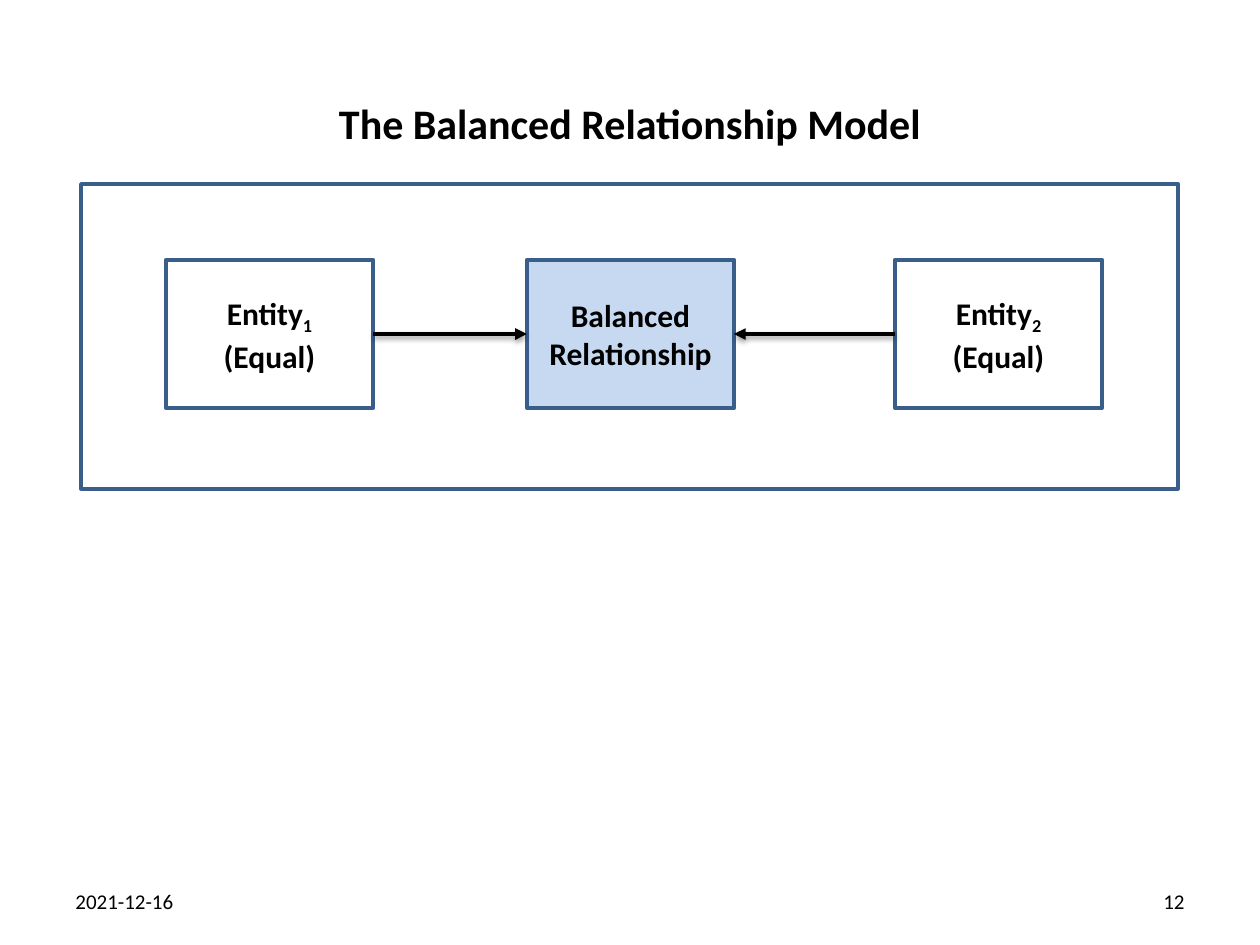
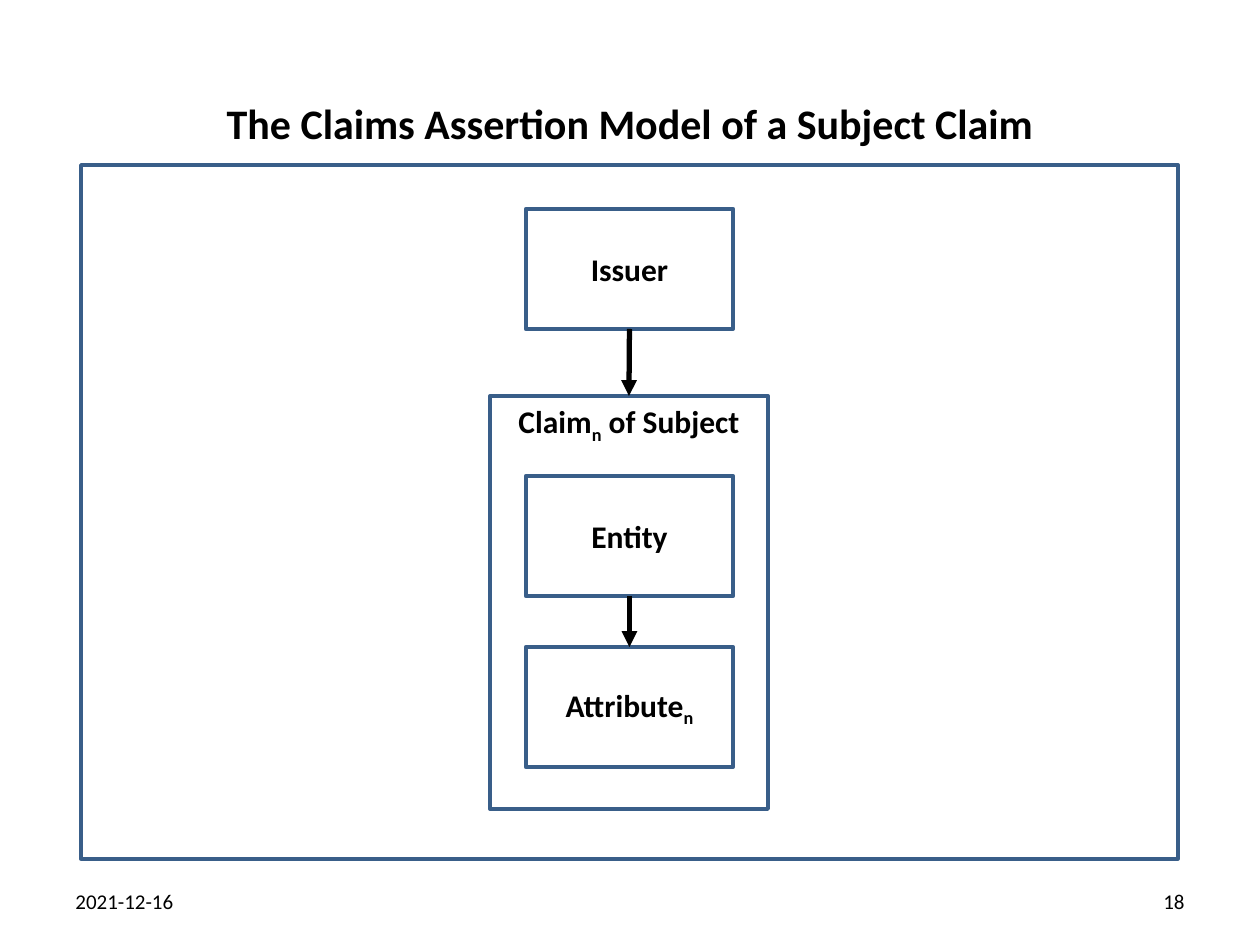
"""Builds two relationship-model slides."""
from dataclasses import dataclass

from lxml import etree
from pptx import Presentation
from pptx.dml.color import RGBColor
from pptx.enum.shapes import MSO_CONNECTOR, MSO_SHAPE
from pptx.enum.text import MSO_ANCHOR, PP_ALIGN
from pptx.oxml.ns import qn
from pptx.util import Pt

EMU_PER_PIXEL = 914400 / 126
FONT = "Calibri"
COLOURS = {"text": "000000", "arrow": "000000", "border": "395E89", "highlight": "C6D9F1"}
DATE = "2021-12-16"

RECTANGLE = MSO_SHAPE.RECTANGLE
STRAIGHT = MSO_CONNECTOR.STRAIGHT
LEFT, CENTER, RIGHT = PP_ALIGN.LEFT, PP_ALIGN.CENTER, PP_ALIGN.RIGHT
TOP, MIDDLE = MSO_ANCHOR.TOP, MSO_ANCHOR.MIDDLE
SITE_TOP, SITE_LEFT, SITE_BOTTOM, SITE_RIGHT = range(4)

BOX_WIDTH = 207
FRAME_LEFT, FRAME_WIDTH = 81, 1097


@dataclass(frozen=True)
class Area:
    """A rectangle in pixels."""
    left: int
    top: int
    width: int
    height: int


@dataclass(frozen=True)
class Piece:
    """A piece of text, possibly subscript."""
    text: str
    subscript: bool = False


@dataclass(frozen=True)
class Box:
    """An outlined rectangle with an optional label."""
    area: Area
    label: tuple = ()
    line_width: float = 2.5
    fill: str = ""
    anchor: MSO_ANCHOR = MIDDLE


TITLE_AREA = Area(115, 91, 1030, 63)
DATE_AREA = Area(63, 876, 294, 50)
NUMBER_AREA = Area(903, 876, 294, 50)


def emu(pixels: int) -> int:
    """Turn pixels into EMU."""
    return round(pixels * EMU_PER_PIXEL)


def place(area: Area) -> tuple:
    """Give the four lengths of an area in EMU."""
    return emu(area.left), emu(area.top), emu(area.width), emu(area.height)


def colour(name: str) -> RGBColor:
    """Look up a named colour."""
    return RGBColor.from_string(COLOURS[name])


def write(shape, label: tuple, size: int, bold: bool, alignment, anchor=MIDDLE) -> None:
    """Write one paragraph into a shape, run by run."""
    frame = shape.text_frame
    frame.word_wrap = True
    frame.vertical_anchor = anchor
    paragraph = frame.paragraphs[0]
    paragraph.alignment = alignment
    for piece in label:
        run = paragraph.add_run()
        run.text = piece.text
        run.font.name = FONT
        run.font.size = Pt(size)
        run.font.bold = bold
        run.font.color.rgb = colour("text")
        if piece.subscript:
            run.font._element.set("baseline", "-25000")


def add_text(slide, area: Area, text: str, size: int, bold: bool, alignment) -> None:
    """Add a text box with a single run."""
    shape = slide.shapes.add_textbox(*place(area))
    write(shape, (Piece(text),), size, bold, alignment)


def add_box(slide, box: Box):
    """Draw a box and return its shape."""
    shape = slide.shapes.add_shape(RECTANGLE, *place(box.area))
    shape.shadow.inherit = False
    if box.fill:
        shape.fill.solid()
        shape.fill.fore_color.rgb = colour(box.fill)
    else:
        shape.fill.background()
    shape.line.color.rgb = colour("border")
    shape.line.width = Pt(box.line_width)
    if box.label:
        write(shape, box.label, 18, True, CENTER, box.anchor)
    return shape


def add_arrow(slide, start, start_site: int, end, end_site: int, width: float,
              shadow: bool = False) -> None:
    """Join two shapes with an arrow, with or without a soft shadow."""
    arrow = slide.shapes.add_connector(STRAIGHT, 0, 0, 0, 0)
    arrow.begin_connect(start, start_site)
    arrow.end_connect(end, end_site)
    arrow.line.color.rgb = colour("arrow")
    arrow.line.width = Pt(width)
    properties = arrow._element.spPr
    etree.SubElement(properties.find(qn("a:ln")), qn("a:tailEnd"), type="triangle")
    effects = etree.SubElement(properties, qn("a:effectLst"))
    if shadow:
        outer = etree.SubElement(effects, qn("a:outerShdw"), blurRad="40000",
                                 dist="20000", dir="5400000", rotWithShape="0")
        tint = etree.SubElement(outer, qn("a:srgbClr"), val=COLOURS["arrow"])
        etree.SubElement(tint, qn("a:alpha"), val="38000")


def add_model_slide(presentation, title: str, number: str, frame_top: int, frame_height: int):
    """Add a slide with title, footers and outer frame."""
    slide = presentation.slides.add_slide(presentation.slide_layouts[6])
    add_text(slide, TITLE_AREA, title, 24, True, CENTER)
    add_text(slide, DATE_AREA, DATE, 12, False, LEFT)
    add_text(slide, NUMBER_AREA, number, 12, False, RIGHT)
    add_box(slide, Box(Area(FRAME_LEFT, frame_top, FRAME_WIDTH, frame_height), line_width=2))
    return slide


def build_balanced(presentation) -> None:
    """Two equal entities pointing at a balanced relationship."""
    slide = add_model_slide(presentation, "The Balanced Relationship Model", "12", 184, 305)
    top, height = 260, 148
    relationship = add_box(slide, Box(Area(527, top, BOX_WIDTH, height),
                                      (Piece("Balanced Relationship"),), fill="highlight"))
    sides = ((166, "1", SITE_RIGHT, SITE_LEFT), (895, "2", SITE_LEFT, SITE_RIGHT))
    for left, index, start_site, end_site in sides:
        label = (Piece("Entity"), Piece(index, True), Piece(" (Equal)"))
        entity = add_box(slide, Box(Area(left, top, BOX_WIDTH, height), label))
        add_arrow(slide, entity, start_site, relationship, end_site, 2.25, shadow=True)


def build_claims(presentation) -> None:
    """An issuer asserting a claim that links an entity to an attribute."""
    slide = add_model_slide(presentation, "The Claims Assertion Model of a Subject Claim",
                            "18", 165, 694)
    issuer, entity, attribute = (
        add_box(slide, Box(Area(526, top, BOX_WIDTH, 120), label))
        for top, label in ((209, (Piece("Issuer"),)),
                           (476, (Piece("Entity"),)),
                           (647, (Piece("Attribute"), Piece("n", True)))))
    claim = add_box(slide, Box(Area(490, 396, 278, 413),
                               (Piece("Claim"), Piece("n", True), Piece(" of Subject")),
                               line_width=2.25, anchor=TOP))
    for start, end in ((issuer, claim), (entity, attribute)):
        add_arrow(slide, start, SITE_BOTTOM, end, SITE_TOP, 3)


def main() -> None:
    """Build and save the presentation."""
    presentation = Presentation()
    presentation.slide_width = emu(1260)
    presentation.slide_height = emu(945)
    build_balanced(presentation)
    build_claims(presentation)
    presentation.save("out.pptx")


main()
